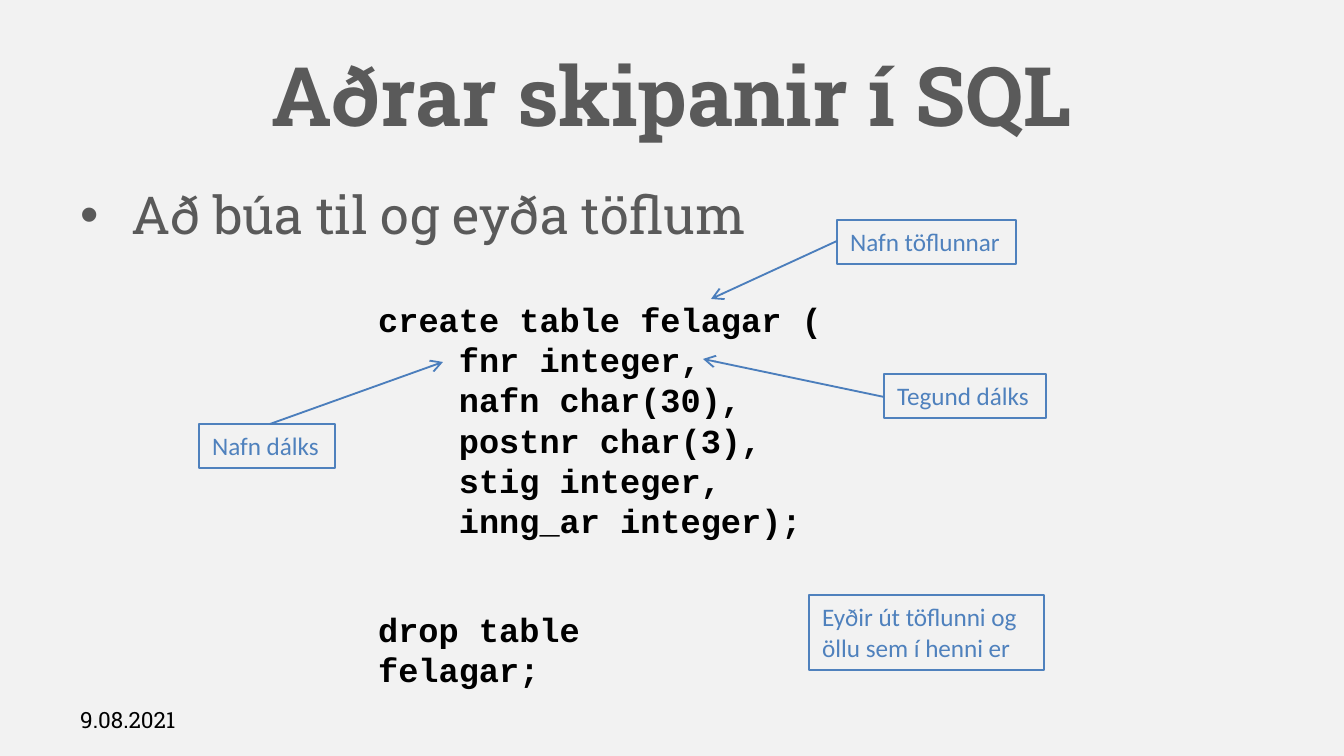
from dataclasses import dataclass

from lxml import etree
from pptx import Presentation
from pptx.dml.color import RGBColor
from pptx.enum.shapes import MSO_CONNECTOR, MSO_SHAPE
from pptx.enum.text import MSO_ANCHOR, MSO_AUTO_SIZE, PP_ALIGN
from pptx.oxml.ns import qn
from pptx.util import Emu, Pt

STRAIGHT = MSO_CONNECTOR.STRAIGHT
RECTANGLE = MSO_SHAPE.RECTANGLE
TOP, MIDDLE = MSO_ANCHOR.TOP, MSO_ANCHOR.MIDDLE
GROW = MSO_AUTO_SIZE.SHAPE_TO_FIT_TEXT
LEFT, CENTER = PP_ALIGN.LEFT, PP_ALIGN.CENTER


@dataclass(frozen=True)
class Style:
    font: str
    size: float
    color: str
    bold: bool = False


@dataclass(frozen=True)
class Theme:
    background: str = "F2F2F2"
    arrow: str = "4B7EBC"
    label_border: str = "4F81BD"
    title: Style = Style("Roboto Slab", 44, "5A5A5A", True)
    bullet: Style = Style("Roboto Slab", 28, "5A5A5A")
    code: Style = Style("Courier New", 18, "000000", True)
    label: Style = Style("Calibri", 13.5, "4F81BD")
    date: Style = Style("Roboto Slab", 12, "000000")


THEME = Theme()
PAGE_SIZE = (1344, 756)
BULLET_INDENT = 51

# Areas are left, top, width, height in px.
TITLE = ("Aðrar skipanir í SQL", (67, 31, 1210, 126))
BULLET = ("Að búa til og eyða töflum", (67, 176, 1210, 499))
DATE = ("9.08.2021", (67, 700, 313, 40))

CODE_BLOCKS = [
    ([
        "create table felagar (",
        "    fnr integer,",
        "    nafn char(30),",
        "    postnr char(3),",
        "    stig integer,",
        "    inng_ar integer);",
    ], (365, 292, 520, 258)),
    (["drop table felagar;"], (365, 602, 409, 54)),
]

# Text, area, wraps, arrow (start, end)
LABELS = [
    ("Nafn töflunnar", (837, 220, 179, 44), False, ((837, 241), (711, 299))),
    ("Nafn dálks", (199, 424, 136, 44), False, ((270, 424), (443, 362))),
    ("Tegund dálks", (884, 374, 162, 44), False, ((884, 397), (703, 359))),
    ("Eyðir út töflunni og öllu sem í henni er", (809, 595, 235, 75), True, None),
]


def px(value):
    return Emu(round(value * 914400 / 134.4))


def rgb(value):
    return RGBColor.from_string(value)


def write(box, lines, style, anchor=TOP, align=LEFT, wrap=True):
    frame = box.text_frame
    frame.word_wrap = wrap
    frame.vertical_anchor = anchor
    for index, line in enumerate(lines):
        para = frame.paragraphs[0] if index == 0 else frame.add_paragraph()
        para.alignment = align
        span = para.add_run()
        span.text = line
        span.font.name = style.font
        span.font.size = Pt(style.size)
        span.font.bold = style.bold
        span.font.color.rgb = rgb(style.color)
    return frame


def add_text(page, lines, area, style, **layout):
    box = page.shapes.add_textbox(*map(px, area))
    return write(box, lines, style, **layout)


def set_bullet(para):
    properties = para._p.get_or_add_pPr()
    properties.set("marL", str(px(BULLET_INDENT)))
    properties.set("indent", str(-px(BULLET_INDENT)))
    etree.SubElement(properties, qn("a:buFont"), typeface="Arial")
    etree.SubElement(properties, qn("a:buChar"), char="•")


def add_label(page, text, area, wrap):
    box = page.shapes.add_shape(RECTANGLE, *map(px, area))
    box.shadow.inherit = False
    box.fill.background()
    box.line.color.rgb = rgb(THEME.label_border)
    box.line.width = Pt(0.75)
    write(box, [text], THEME.label, wrap=wrap).auto_size = GROW


def add_arrow(page, start, end):
    arrow = page.shapes.add_connector(STRAIGHT, *map(px, start + end))
    arrow.line.color.rgb = rgb(THEME.arrow)
    arrow.line.width = Pt(1)
    etree.SubElement(arrow.line._get_or_add_ln(), qn("a:tailEnd"), type="arrow")
    etree.SubElement(arrow._element.spPr, qn("a:effectLst"))


def main():
    deck = Presentation()
    deck.slide_width, deck.slide_height = map(px, PAGE_SIZE)
    page = deck.slides.add_slide(deck.slide_layouts[6])
    page.background.fill.solid()
    page.background.fill.fore_color.rgb = rgb(THEME.background)

    title, area = TITLE
    add_text(page, [title], area, THEME.title, anchor=MIDDLE, align=CENTER)
    bullet, area = BULLET
    set_bullet(add_text(page, [bullet], area, THEME.bullet).paragraphs[0])
    for lines, area in CODE_BLOCKS:
        add_text(page, lines, area, THEME.code).auto_size = GROW
    for text, area, wrap, arrow in LABELS:
        add_label(page, text, area, wrap)
        if arrow:
            add_arrow(page, *arrow)
    date, area = DATE
    add_text(page, [date], area, THEME.date, anchor=MIDDLE)

    deck.save("out.pptx")


if __name__ == "__main__":
    main()
